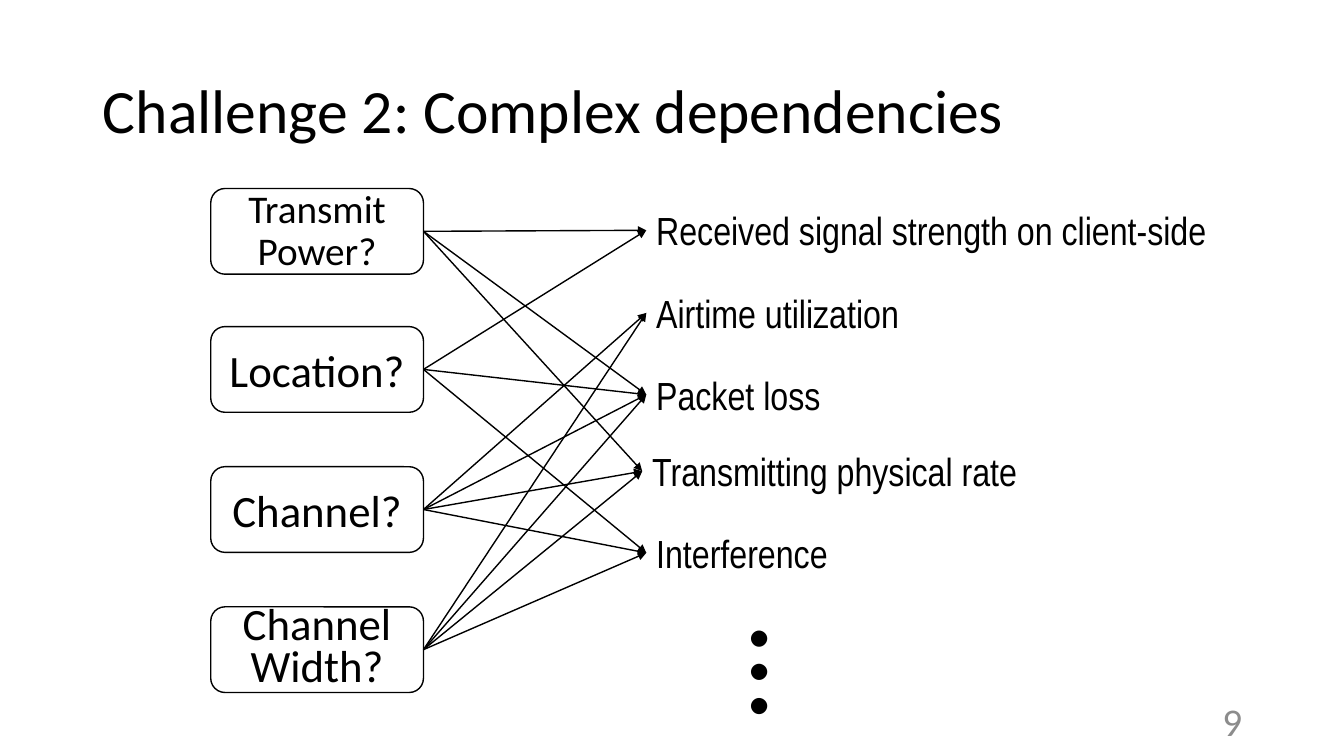
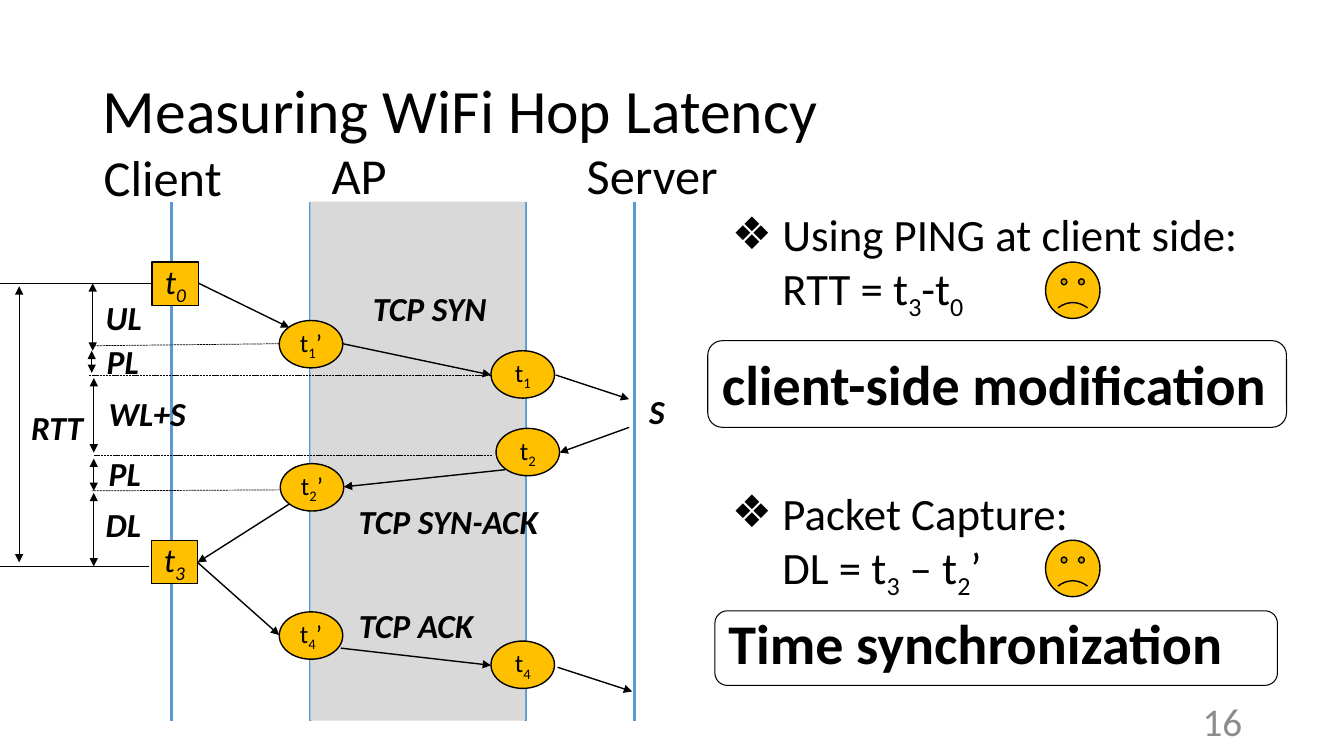
"""Build two slides on wireless dependencies and hop latency."""
from dataclasses import dataclass

from lxml import etree
from pptx import Presentation
from pptx.dml.color import RGBColor
from pptx.enum.dml import MSO_LINE
from pptx.enum.shapes import MSO_CONNECTOR, MSO_SHAPE
from pptx.enum.text import MSO_ANCHOR, MSO_AUTO_SIZE, PP_ALIGN
from pptx.oxml.ns import qn
from pptx.util import Emu, Pt

STRAIGHT = MSO_CONNECTOR.STRAIGHT
DASHED = MSO_LINE.SQUARE_DOT
ROUNDED, PROCESS = MSO_SHAPE.ROUNDED_RECTANGLE, MSO_SHAPE.FLOWCHART_ALTERNATE_PROCESS
RECT, OVAL, FACE = MSO_SHAPE.RECTANGLE, MSO_SHAPE.OVAL, MSO_SHAPE.SMILEY_FACE
TOP, MIDDLE = MSO_ANCHOR.TOP, MSO_ANCHOR.MIDDLE
LEFT, CENTER, RIGHT = PP_ALIGN.LEFT, PP_ALIGN.CENTER, PP_ALIGN.RIGHT
NO_FIT, GROW = MSO_AUTO_SIZE.NONE, MSO_AUTO_SIZE.SHAPE_TO_FIT_TEXT
EMU_PER_PX = 9144
LEFT_SITE, RIGHT_SITE = 1, 3


@dataclass(frozen=True)
class Theme:
    """Colours, fonts and type sizes."""
    ink: str = "000000"
    muted: str = "8C8C8C"
    node: str = "FFC000"
    lifeline: str = "5B9BD5"
    band: str = "D9D9D9"
    face: str = "Calibri"
    narrow: str = "Arial Narrow"
    title: int = 44
    callout: int = 40
    heading: int = 36
    body: int = 32
    medium: int = 28
    label: int = 24
    small: int = 18
    ellipsis: int = 96


THEME = Theme()
SLIDE_SIZE = (1333, 750)
TITLE_BOX = (92, 40, 1150, 145)
NUMBER_BOX = (942, 695, 300, 40)

FACTOR_LEFT, FACTOR_SIZE = 209, (211, 85)
FACTORS = [
    ("Transmit Power?", 187, THEME.medium, 30, (0, 2, 3)),
    ("Location?", 324, THEME.body, None, (0, 4, 2)),
    ("Channel?", 463, THEME.body, None, (1, 2, 3, 4)),
    ("Channel\nWidth?", 602, THEME.body, 30, (1, 2, 3, 4)),
]
METRICS = [
    ("Received signal strength on client-side", (641, 200, 650, 57)),
    ("Airtime utilization", (641, 282, 307, 57)),
    ("Packet loss", (641, 363, 204, 57)),
    ("Transmitting physical rate", (637, 439, 444, 57)),
    ("Interference", (641, 520, 225, 57)),
]
ELLIPSIS_BOX = (703, 612, 182, 103)

BODY_BOX = (716, 200, 525, 495)
METHODS = [
    ("Using PING at client side: RTT = t_3-t_0", "❖", 0),
    ("Packet Capture:", "❖", 117),
    ("DL = t_3 – t_2’", None, 0),
]
CALLOUTS = [
    ("Time synchronization", (709, 606, 558, 74), True, 40),
    ("client-side modification", (702, 338, 574, 86), False, None),
]
FACES = [(1037, 260, 54, 56), (1037, 536, 54, 56)]
HEADINGS = [
    ("Client", (93, 140, 138, 71)),
    ("AP", (319, 138, 76, 71)),
    ("Server", (572, 138, 151, 71)),
]
CLIENT_X, AP_IN_X, AP_OUT_X, SERVER_X = LIFELINES = (170, 308, 521, 629)
LIFE_TOP, LIFE_BOTTOM = 200, 715
CLIENT_EVENTS = [("t_0", 151, 260), ("t_3", 150, 536)]
AP_EVENTS = [
    ("t_1’", 277, 318), ("t_1", 487, 348), ("t_2", 492, 425),
    ("t_2’", 278, 460), ("t_4’", 277, 607), ("t_4", 487, 636),
]
MESSAGES = [
    (197, 281, 287, 325), (340, 341, 487, 372), (551, 372, 624, 396),
    (624, 424, 555, 449), (501, 466, 341, 483), (287, 500, 196, 558),
    (196, 558, 277, 630), (338, 643, 487, 660), (553, 662, 627, 686),
]
LIMITS = [(151, 281, 0, 281), (148, 562, -3, 562)]
GUIDES = [
    (277, 341, 92, 343), (487, 372, 88, 372),
    (488, 452, 93, 452), (277, 486, 91, 487),
]
SPANS = [
    (92, 281, 348), (91, 348, 370), (93, 375, 449),
    (93, 455, 487), (93, 489, 562), (19, 284, 558),
]
LABEL_HEIGHT = 50
LABELS = [
    ("UL", 95, 290, 56), ("PL", 96, 333, 52), ("WL+S", 98, 385, 97),
    ("PL", 98, 444, 52), ("DL", 95, 495, 56), ("RTT", 21, 399, 72),
    ("S", 634, 383, 36), ("TCP SYN", 360, 281, 134),
    ("TCP SYN-ACK", 346, 492, 200), ("TCP ACK", 346, 595, 135),
]


def px(*lengths):
    return [Emu(length * EMU_PER_PX) for length in lengths]


def style(paragraph, size, color=THEME.ink, face=THEME.face, bold=False,
          italic=False, align=LEFT, spacing=None):
    paragraph.alignment = align
    if spacing:
        paragraph.line_spacing = spacing
    font = paragraph.font
    font.size, font.name, font.bold, font.italic = Pt(size), face, bold, italic
    font.color.rgb = RGBColor.from_string(color)


def add_run(paragraph, text, subscript=False):
    if text:
        run = paragraph.add_run()
        run.text = text
        if subscript:
            run._r.get_or_add_rPr().set("baseline", "-25000")


def write(paragraph, text):
    start, *rest = text.split("_")
    add_run(paragraph, start)
    for part in rest:
        add_run(paragraph, part[0], subscript=True)
        add_run(paragraph, part[1:])


def fill_text(shape, text, size, anchor=TOP, wrap=True, fit=NO_FIT, **look):
    frame = shape.text_frame
    frame.word_wrap, frame.auto_size, frame.vertical_anchor = wrap, fit, anchor
    for index, line in enumerate(text.split("\n")):
        paragraph = frame.add_paragraph() if index else frame.paragraphs[0]
        write(paragraph, line)
        style(paragraph, size, **look)


def add_label(slide, text, box, size, wrap=False, fit=GROW, **look):
    label = slide.shapes.add_textbox(*px(*box))
    fill_text(label, text, size, wrap=wrap, fit=fit, **look)
    return label


def add_block(slide, kind, box, fill=None, line=1):
    block = slide.shapes.add_shape(kind, *px(*box))
    block.shadow.inherit = False
    if fill:
        block.fill.solid()
        block.fill.fore_color.rgb = RGBColor.from_string(fill)
    else:
        block.fill.background()
    if line:
        block.line.color.rgb = RGBColor.from_string(THEME.ink)
        block.line.width = Pt(line)
    else:
        block.line.fill.background()
    return block


def add_line(slide, points, width=1, color=THEME.ink, dash=None, ends=()):
    line = slide.shapes.add_connector(STRAIGHT, *px(*points))
    line.line.color.rgb = RGBColor.from_string(color)
    line.line.width = Pt(width)
    if dash:
        line.line.dash_style = dash
    properties = line.element.spPr
    for end in ends:
        etree.SubElement(properties.get_or_add_ln(), qn(f"a:{end}"), type="triangle")
    etree.SubElement(properties, qn("a:effectLst"))
    return line


def place(shape, box):
    shape.left, shape.top, shape.width, shape.height = px(*box)


def start_slide(deck, layout, title, number):
    slide = deck.slides.add_slide(deck.slide_layouts.get_by_name(layout))
    place(slide.shapes.title, TITLE_BOX)
    fill_text(slide.shapes.title, title, THEME.title, anchor=MIDDLE, spacing=0.9)
    add_label(slide, number, NUMBER_BOX, THEME.medium, wrap=True, fit=NO_FIT,
              anchor=MIDDLE, color=THEME.muted, align=RIGHT)
    return slide


def build_dependencies(deck):
    slide = start_slide(deck, "Title Only", "Challenge 2: Complex dependencies", "9")
    metrics = [add_label(slide, text, box, THEME.medium, face=THEME.narrow)
               for text, box in METRICS]
    for text, top, size, spacing, affected in FACTORS:
        factor = add_block(slide, PROCESS, (FACTOR_LEFT, top, *FACTOR_SIZE))
        fill_text(factor, text, size, anchor=MIDDLE, align=CENTER,
                  spacing=Pt(spacing) if spacing else None)
        for index in affected:
            arrow = add_line(slide, (0, 0, 0, 0), ends=["tailEnd"])
            arrow.begin_connect(factor, RIGHT_SITE)
            arrow.end_connect(metrics[index], LEFT_SITE)
    more = add_label(slide, "…", ELLIPSIS_BOX, THEME.ellipsis)
    more.element.txBody.bodyPr.set("vert", "eaVert")


def add_methods(slide):
    body = slide.placeholders[1]
    place(body, BODY_BOX)
    frame = body.text_frame
    frame.auto_size, frame.vertical_anchor = NO_FIT, TOP
    indent = px(50)[0]
    for index, (text, bullet, gap) in enumerate(METHODS):
        paragraph = frame.add_paragraph() if index else frame.paragraphs[0]
        properties = paragraph._p.get_or_add_pPr()
        properties.set("marL", str(indent))
        properties.set("indent", str(-indent if bullet else 0))
        if bullet:
            etree.SubElement(properties, qn("a:buChar"), char=bullet)
        else:
            etree.SubElement(properties, qn("a:buNone"))
        paragraph.space_before = Pt(gap)
        write(paragraph, text)
        style(paragraph, THEME.body)


def add_event(slide, kind, text, box, size, italic=False):
    event = add_block(slide, kind, box, THEME.node)
    frame = event.text_frame
    frame.margin_left = frame.margin_right = frame.margin_top = frame.margin_bottom = 0
    fill_text(event, text, size, anchor=MIDDLE, align=CENTER, italic=italic)


def add_timeline(slide):
    for x in LIFELINES:
        add_line(slide, (x, LIFE_TOP, x, LIFE_BOTTOM), 2.25, THEME.lifeline)
    band = (AP_IN_X, LIFE_TOP, AP_OUT_X - AP_IN_X, LIFE_BOTTOM - LIFE_TOP)
    add_block(slide, RECT, band, THEME.band, line=None)
    for text, left, top in CLIENT_EVENTS:
        add_event(slide, RECT, text, (left, top, 46, 43), THEME.label, italic=True)
    for text, left, top in AP_EVENTS:
        add_event(slide, OVAL, text, (left, top, 63, 47), THEME.small)
    for points in MESSAGES:
        add_line(slide, points, ends=["tailEnd"])
    for points in LIMITS:
        add_line(slide, points, 0.5)
    for points in GUIDES:
        add_line(slide, points, 0.5, dash=DASHED)
    for x, top, bottom in SPANS:
        add_line(slide, (x, top, x, bottom), 0.5, ends=["headEnd", "tailEnd"])
    for text, left, top, width in LABELS:
        add_label(slide, text, (left, top, width, LABEL_HEIGHT), THEME.label,
                  bold=True, italic=True)
    for text, box in HEADINGS:
        add_label(slide, text, box, THEME.heading)


def build_latency(deck):
    slide = start_slide(deck, "Title and Content", "Measuring WiFi Hop Latency", "16")
    add_methods(slide)
    for text, box, wrap, spacing in CALLOUTS:
        callout = add_block(slide, ROUNDED, box, line=0.75)
        fill_text(callout, text, THEME.callout, wrap=wrap, fit=GROW, bold=True,
                  spacing=Pt(spacing) if spacing else None)
    for box in FACES:
        frown = add_block(slide, FACE, box, THEME.node)
        frown.adjustments[0] = -0.047
    add_timeline(slide)


def main():
    deck = Presentation()
    deck.slide_width, deck.slide_height = px(*SLIDE_SIZE)
    build_dependencies(deck)
    build_latency(deck)
    deck.save("out.pptx")


if __name__ == "__main__":
    main()
